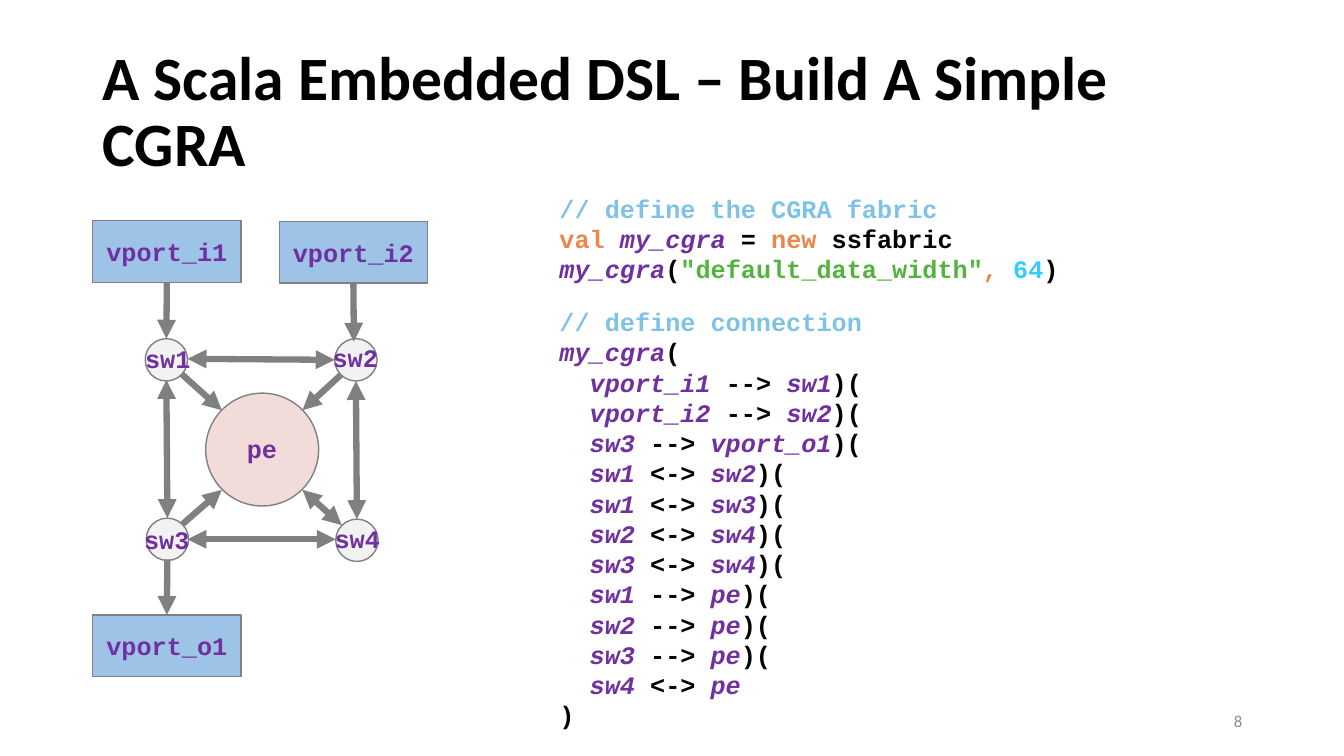
from lxml.etree import SubElement
from pptx import Presentation
from pptx.dml.color import RGBColor
from pptx.enum.shapes import MSO_CONNECTOR, MSO_SHAPE
from pptx.enum.text import MSO_ANCHOR, PP_ALIGN
from pptx.oxml.ns import qn
from pptx.util import Pt

PX = 9144  # 100 px to the inch
BLACK = RGBColor(0x00, 0x00, 0x00)
GRAY = RGBColor(0x80, 0x80, 0x80)
PAGE_GRAY = RGBColor(0x8C, 0x8C, 0x8C)
PURPLE = RGBColor(0x70, 0x30, 0xA0)
PORT_BLUE = RGBColor(0x9D, 0xC3, 0xE6)
SWITCH_GRAY = RGBColor(0xF2, 0xF2, 0xF2)
PE_PINK = RGBColor(0xF2, 0xDC, 0xDA)
COMMENT = RGBColor(0x7E, 0xC3, 0xE6)
KEYWORD = RGBColor(0xED, 0x86, 0x4A)
STRING = RGBColor(0x54, 0xB3, 0x3E)
NUMBER = RGBColor(0x33, 0xCC, 0xFF)

CODE = {"name": "Courier New", "size": Pt(18), "bold": True}
TITLE = {"name": "Calibri", "size": Pt(44), "bold": True}
PAGE_NUMBER = {"name": "Calibri", "size": Pt(12)}

deck = Presentation()
deck.slide_width, deck.slide_height = 1333 * PX, 750 * PX
page = deck.slides.add_slide(deck.slide_layouts[6])


def write(shape, lines, style, align=PP_ALIGN.LEFT, anchor=MSO_ANCHOR.MIDDLE, wrap=True):
    """Fill a shape with lines of (text, colour) spans; purple code in text boxes is set by italic_names."""
    frame = shape.text_frame
    frame.word_wrap, frame.vertical_anchor = wrap, anchor
    para = frame.paragraphs[0]
    para.alignment = align
    for number, line in enumerate(lines):
        if number:
            para.add_line_break()
        for text, color in line:
            span = para.add_run()
            span.text = text
            for key, value in style.items():
                setattr(span.font, key, value)
            span.font.color.rgb = color
            # Identifiers are italic in the listing, upright in the diagram
            span.font.italic = color == PURPLE and shape in listings
    return para


def add_node(kind, left, top, width, height, fill):
    node = page.shapes.add_shape(kind, left * PX, top * PX, width * PX, height * PX)
    node.shadow.inherit = False
    node.fill.solid()
    node.fill.fore_color.rgb = fill
    node.line.color.rgb = GRAY
    node.line.width = Pt(1)
    return node


listings = []

# Title and page number
title = page.shapes.add_textbox(92 * PX, 40 * PX, 1150 * PX, 145 * PX)
para = write(title, [[("A Scala Embedded DSL – Build A Simple CGRA", BLACK)]], TITLE)
para.line_spacing = 0.9
page_number = page.shapes.add_textbox(942 * PX, 695 * PX, 300 * PX, 40 * PX)
write(page_number, [[("8", PAGE_GRAY)]], PAGE_NUMBER, PP_ALIGN.RIGHT)

# Ports, switches and the processing element
ports = {}
for name, left, top in [("vport_i1", 92, 219), ("vport_i2", 277, 220), ("vport_o1", 92, 610)]:
    ports[name] = add_node(MSO_SHAPE.RECTANGLE, left, top, 147, 61, PORT_BLUE)
    write(ports[name], [[(name, PURPLE)]], CODE, PP_ALIGN.CENTER)
for left, top in [(144, 336), (332, 336), (145, 514), (333, 515)]:
    add_node(MSO_SHAPE.OVAL, left, top, 42, 42, SWITCH_GRAY)
add_node(MSO_SHAPE.OVAL, 204, 390, 112, 112, PE_PINK)

# Links: start, end, double-headed, port at the start, port at the end
links = [
    ((165, 280), (165, 336), False, "vport_i1", None),
    ((351, 281), (351, 339), False, "vport_i2", None),
    ((166, 555), (166, 610), False, None, "vport_o1"),
    ((180, 371), (220, 407), False, None, None),
    ((338, 372), (300, 407), False, None, None),
    ((181, 520), (220, 486), False, None, None),
    ((300, 486), (339, 521), True, None, None),
    ((186, 356), (332, 357), True, None, None),
    ((186, 535), (333, 535), True, None, None),
    ((166, 514), (165, 377), True, None, None),
    ((354, 515), (353, 378), True, None, None),
]
for start, end, double, source, target in links:
    x1, y1, x2, y2 = (value * PX for value in start + end)
    link = page.shapes.add_connector(MSO_CONNECTOR.STRAIGHT, x1, y1, x2, y2)
    if source:
        link.begin_connect(ports[source], 2)
    if target:
        link.end_connect(ports[target], 0)
    link.line.color.rgb = GRAY
    link.line.width = Pt(4.5)
    outline = link.line._get_or_add_ln()
    for tag in ["a:headEnd", "a:tailEnd"] if double else ["a:tailEnd"]:
        SubElement(outline, qn(tag), type="triangle")
    SubElement(link._element.spPr, qn("a:effectLst"))

# Names of the round nodes
for name, left, top, width in [
    ("sw1", 134, 336, 65), ("sw2", 320, 335, 65), ("sw3", 133, 515, 65),
    ("sw4", 322, 514, 65), ("pe", 235, 425, 50),
]:
    label = page.shapes.add_textbox(left * PX, top * PX, width * PX, 40 * PX)
    write(label, [[(name, PURPLE)]], CODE, anchor=MSO_ANCHOR.TOP, wrap=False)

# Code listings
fabric_lines = [
    [("// define the CGRA fabric", COMMENT)],
    [("val ", KEYWORD), ("my_cgra ", PURPLE), ("= ", BLACK), ("new ", KEYWORD), ("ssfabric", BLACK)],
    [("my_cgra", PURPLE), ("(", BLACK), ('"default_data_width"', STRING),
     (", ", KEYWORD), ("64", NUMBER), (")", BLACK)],
]
connections = [
    "vport_i1 --> sw1", "vport_i2 --> sw2", "sw3 --> vport_o1",
    "sw1 <-> sw2", "sw1 <-> sw3", "sw2 <-> sw4", "sw3 <-> sw4",
    "sw1 --> pe", "sw2 --> pe", "sw3 --> pe", "sw4 <-> pe",
]
connection_lines = [[("// define connection", COMMENT)], [("my_cgra", PURPLE), ("(", BLACK)]]
for connection in connections:
    source, arrow, target = connection.split()
    line = [("  ", BLACK), (source + " ", PURPLE), (arrow + " ", BLACK), (target, PURPLE)]
    if connection != connections[-1]:
        line.append((")(", BLACK))
    connection_lines.append(line)
connection_lines.append([(")", BLACK)])

for lines, top, width, height in [(fabric_lines, 186, 525, 101), (connection_lines, 297, 343, 434)]:
    listing = page.shapes.add_textbox(545 * PX, top * PX, width * PX, height * PX)
    listings.append(listing)
    write(listing, lines, CODE)

deck.save("out.pptx")
